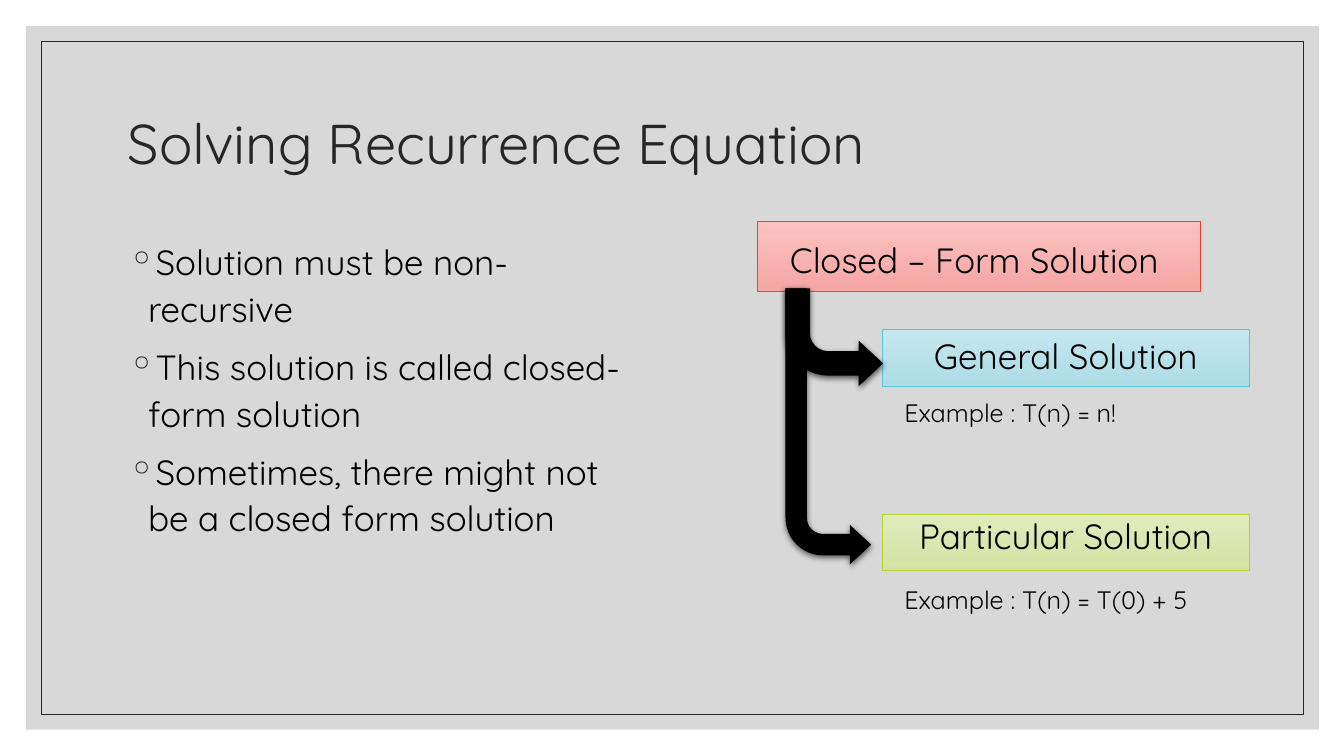
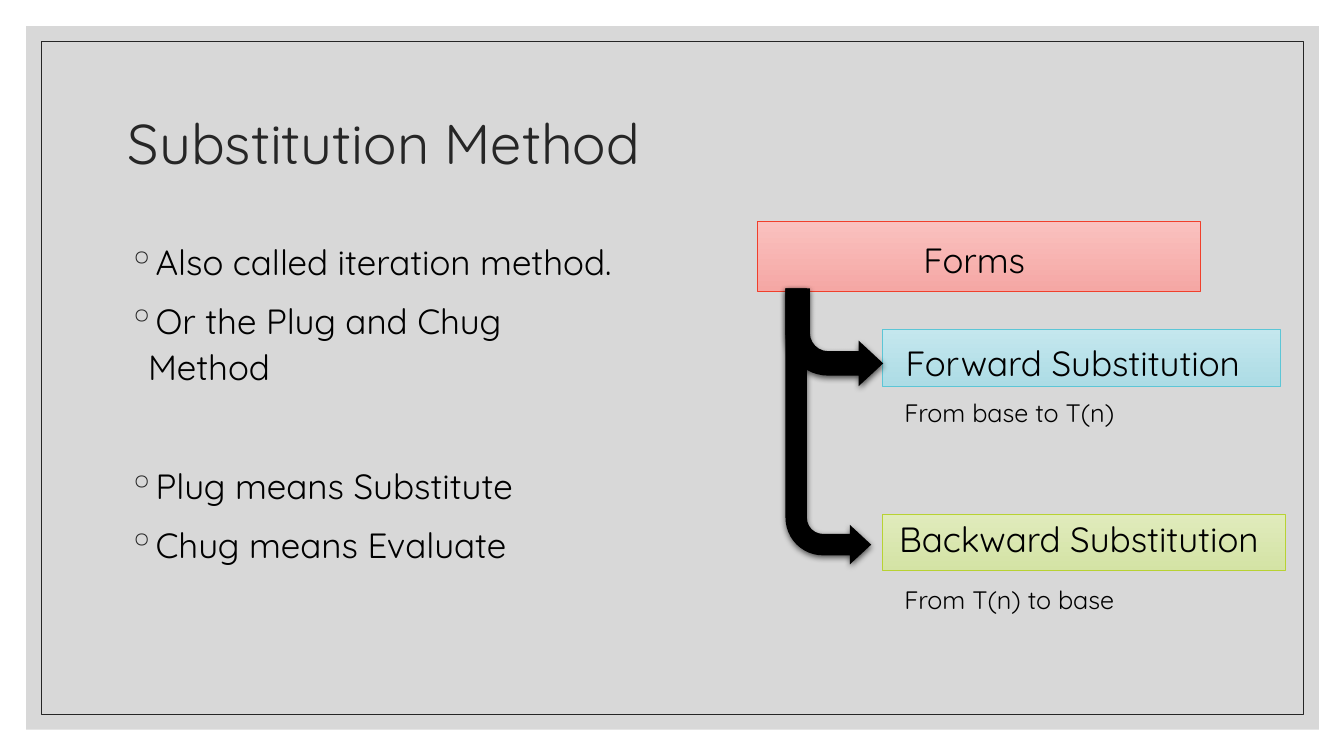
from lxml import etree
from pptx import Presentation
from pptx.dml.color import RGBColor
from pptx.enum.shapes import MSO_SHAPE as Shape
from pptx.enum.text import MSO_ANCHOR as Anchor, PP_ALIGN as Align
from pptx.oxml.ns import qn
from pptx.util import Inches, Pt

FONT = "Quicksand"
BLACK = "000000"
DARK = "262626"
GRAY = "BFBFBF"
LABEL_SIZE = 25
CAPTION_SIZE = 18
RED = ("FAC1BF", "F5A7A4", "F03F2B")
BLUE = ("C4E7EE", "ADDCE5", "5CC6D6")
GREEN = ("E0EBBC", "D4E3A5", "B8D233")
BEND = (0.25, 0.232, 0.25, 0.438)

SLIDES = [
    {
        "title": "Solving Recurrence Equation",
        "bullets": [
            ("Solution must be non-recursive", 9),
            ("This solution is called closed-form solution", 9),
            ("Sometimes, there might not be a closed form solution", 9),
        ],
        "root": "Closed – Form Solution ",
        "branches": [
            ("General Solution", 3.64, (8.75, 3.27, 3.64), "Example : T(n) = n!"),
            ("Particular Solution", 3.64, (8.75, 5.06, 3.64), "Example : T(n) = T(0) + 5"),
        ],
    },
    {
        "title": "Substitution Method",
        "bullets": [
            ("Also called iteration method.", 9),
            ("Or the Plug and Chug Method", 9),
            ("Plug means Substitute", 52),
            ("Chug means Evaluate", 9),
        ],
        "root": "Forms ",
        "branches": [
            ("Forward Substitution", 3.95, (8.64, 3.34, 4), "From base to T(n)"),
            ("Backward Substitution", 4, (8.7, 5.08, 4), "From T(n) to base"),
        ],
    },
]
BRANCH_STYLES = [(3.27, 3.89, BLUE), (5.1, 5.75, GREEN)]


def rgb(value):
    return RGBColor.from_string(value)


def add_shape(slide, kind, left, top, width, height):
    shape = slide.shapes.add_shape(
        kind, Inches(left), Inches(top), Inches(width), Inches(height)
    )
    shape.shadow.inherit = False
    return shape


def outline(shape, color):
    shape.line.color.rgb = rgb(color)
    shape.line.width = Pt(0.5)


def add_frame(slide):
    panel = add_shape(slide, Shape.RECTANGLE, 0.26, 0.26, 12.82, 6.98)
    panel.fill.solid()
    panel.fill.fore_color.rgb = rgb(GRAY)
    panel.line.fill.background()
    color = panel.element.spPr.find(".//" + qn("a:srgbClr"))
    etree.SubElement(color, qn("a:alpha"), val="60000")
    border = add_shape(slide, Shape.RECTANGLE, 0.41, 0.41, 12.52, 6.68)
    border.fill.background()
    outline(border, DARK)


def add_text(slide, lines, left, top, width, height, size, color=BLACK, align=Align.LEFT):
    box = slide.shapes.add_textbox(
        Inches(left), Inches(top), Inches(width), Inches(height)
    )
    frame = box.text_frame
    frame.word_wrap = True
    frame.text = "\n".join(lines)
    for para in frame.paragraphs:
        para.alignment = align
        for span in para.runs:
            span.font.name = FONT
            span.font.size = Pt(size)
            span.font.color.rgb = rgb(color)
    return frame


def add_title(slide, title):
    frame = add_text(slide, [title], 1.17, 0.7, 11, 1.5, 40, DARK)
    frame.vertical_anchor = Anchor.MIDDLE
    frame.paragraphs[0].line_spacing = 0.9


def add_bullets(slide, bullets):
    lines = [line for line, _ in bullets]
    frame = add_text(slide, lines, 1.17, 2.3, 5.1, 4.1, LABEL_SIZE)
    for para, (_, gap) in zip(frame.paragraphs, bullets):
        para.line_spacing = 1.1
        para.space_before = Pt(gap)
        props = para._p.get_or_add_pPr()
        props.set("marL", str(Inches(0.2)))
        props.set("indent", str(-Inches(0.2)))
        color = etree.SubElement(props, qn("a:buClr"))
        etree.SubElement(color, qn("a:srgbClr"), val=DARK)
        etree.SubElement(props, qn("a:buChar"), char="◦")


def add_panel(slide, left, top, width, height, style):
    start, end, edge = style
    panel = add_shape(slide, Shape.RECTANGLE, left, top, width, height)
    panel.fill.gradient()
    panel.fill.gradient_angle = 270
    for stop, color in zip(panel.fill.gradient_stops, (start, end)):
        stop.color.rgb = rgb(color)
    outline(panel, edge)


def add_label(slide, text, left, top, width):
    add_text(slide, [text], left, top, width, 0.52, LABEL_SIZE, align=Align.CENTER)


def add_bent_arrow(slide, width, height):
    arrow = add_shape(slide, Shape.BENT_ARROW, 7.79, 2.86, width, height)
    for index, value in enumerate(BEND):
        arrow.adjustments[index] = value
    arrow.rotation = 180
    props = arrow.element.spPr
    props.find(qn("a:xfrm")).set("flipH", "1")
    arrow.fill.solid()
    arrow.fill.fore_color.rgb = rgb(BLACK)
    arrow.line.fill.background()
    shadow = etree.SubElement(
        props.find(qn("a:effectLst")), qn("a:outerShdw"),
        blurRad=str(Pt(4.5)), dist=str(Pt(1.5)), dir="5400000", rotWithShape="0",
    )
    color = etree.SubElement(shadow, qn("a:srgbClr"), val=BLACK)
    etree.SubElement(color, qn("a:alpha"), val="63000")


def add_tree(slide, root, branches):
    add_panel(slide, 7.51, 2.2, 4.4, 0.69, RED)
    add_label(slide, root, 7.7, 2.32, 4.02)
    for branch, (top, caption_top, style) in zip(branches, BRANCH_STYLES):
        label, width, label_place, caption = branch
        add_panel(slide, 8.75, top, width, 0.56, style)
        add_label(slide, label, *label_place)
        add_text(slide, [caption], 8.87, caption_top, 3.41, 0.4, CAPTION_SIZE)
    add_bent_arrow(slide, 0.85, 2.74)
    add_bent_arrow(slide, 0.97, 0.97)


def main():
    deck = Presentation()
    deck.slide_width = Inches(13.33)
    deck.slide_height = Inches(7.5)
    for content in SLIDES:
        slide = deck.slides.add_slide(deck.slide_layouts[6])
        add_frame(slide)
        add_title(slide, content["title"])
        add_bullets(slide, content["bullets"])
        add_tree(slide, content["root"], content["branches"])
    deck.save("out.pptx")


if __name__ == "__main__":
    main()
